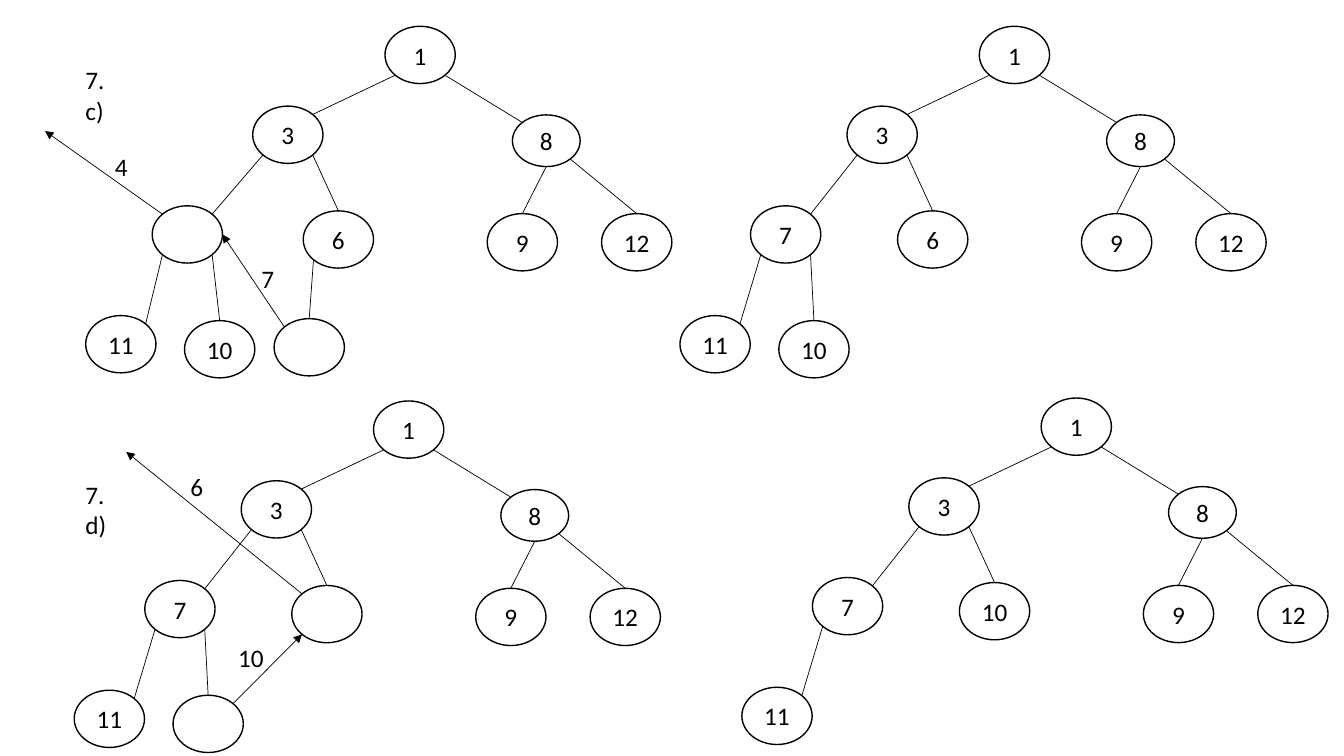
from dataclasses import dataclass

from lxml import etree
from pptx import Presentation
from pptx import util as u
from pptx.dml.color import RGBColor
from pptx.enum import shapes, text
from pptx.oxml.ns import qn


@dataclass(frozen=True)
class Theme:
    """Colours, type and line widths of the slide."""
    ink: RGBColor = RGBColor(0, 0, 0)
    paper: RGBColor = RGBColor(255, 255, 255)
    font: str = "Calibri"
    size: float = 18
    outline: float = 1
    branch: float = 0.5


@dataclass(frozen=True)
class Slot:
    """A place in the heap: offset from the root, size and link to its parent."""
    dx: float
    dy: float
    parent: str = ""
    parent_site: str = ""
    child_site: str = ""
    width: float = 50.2
    height: float = 40.9


THEME = Theme()
DIAGONAL = 0.5 ** 1.5
NEAR, FAR = 0.5 - DIAGONAL, 0.5 + DIAGONAL
SITES = {
    "top": (0.5, 0), "bottom": (0.5, 1), "right": (1, 0.5),
    "top left": (NEAR, NEAR), "top right": (FAR, NEAR),
    "bottom left": (NEAR, FAR), "bottom right": (FAR, FAR),
}
SLOTS = {
    "root": Slot(0, 0),
    "L": Slot(-94.5, 57, "root", "bottom left", "top right"),
    "R": Slot(91, 63.3, "root", "bottom right", "top left", 48.4, 36.9),
    "LL": Slot(-163.4, 128.2, "L", "bottom left", "top right"),
    "LR": Slot(-58.4, 131.8, "L", "bottom right", "top"),
    "RL": Slot(73, 133.8, "R", "bottom", "top"),
    "RR": Slot(154.7, 133.8, "R", "bottom right", "top"),
    "LLL": Slot(-213.8, 206.6, "LL", "bottom left", "top right"),
    "LLR": Slot(-143.2, 210.2, "LL", "bottom right", "top"),
    "LRL": Slot(-79.2, 208.8, "LR", "bottom left", "top"),
}
SHARED = {"root": "1", "L": "3", "R": "8", "RL": "9", "RR": "12", "LLL": "11"}


def style(paragraph):
    """Apply the theme's type to a paragraph."""
    paragraph.font.name = THEME.font
    paragraph.font.size = u.Pt(THEME.size)
    paragraph.font.color.rgb = THEME.ink


def add_node(slide, value, left, top, width, height):
    """Draw a heap node; an empty value leaves it blank."""
    node = slide.shapes.add_shape(shapes.MSO_SHAPE.OVAL, u.Pt(left), u.Pt(top),
                                  u.Pt(width), u.Pt(height))
    node.shadow.inherit = False
    node.fill.solid()
    node.fill.fore_color.rgb = THEME.paper
    node.line.color.rgb = THEME.ink
    node.line.width = u.Pt(THEME.outline)
    if value:
        node.text_frame.text = value
        node.text_frame.vertical_anchor = text.MSO_ANCHOR.MIDDLE
        paragraph = node.text_frame.paragraphs[0]
        paragraph.alignment = text.PP_ALIGN.CENTER
        style(paragraph)


def add_line(slide, start, end, arrow=False):
    """Draw a straight branch, or a move with an arrowhead at its end."""
    line = slide.shapes.add_connector(shapes.MSO_CONNECTOR.STRAIGHT,
                                      *(u.Pt(length) for length in (*start, *end)))
    line.line.color.rgb = THEME.ink
    line.line.width = u.Pt(THEME.branch)
    if arrow:
        etree.SubElement(line.line._get_or_add_ln(), qn("a:tailEnd"), type="triangle")
    etree.SubElement(line._element.spPr, qn("a:effectLst"))


def add_label(slide, words, left, top, width=33, height=29):
    """Place a wrapping text label."""
    label = slide.shapes.add_textbox(u.Pt(left), u.Pt(top), u.Pt(width), u.Pt(height))
    label.text_frame.word_wrap = True
    label.text_frame.text = words
    style(label.text_frame.paragraphs[0])


def add_heap(slide, left, top, values, shifts=None):
    """Draw a heap from its root corner; return a lookup of points on its nodes."""
    shifts = shifts or {}

    def corner(name):
        slot = SLOTS[name]
        return left + slot.dx + shifts.get(name, 0), top + slot.dy

    def point(name, site):
        (x, y), (across, down) = corner(name), SITES[site]
        return x + across * SLOTS[name].width, y + down * SLOTS[name].height

    for name, value in {**SHARED, **values}.items():
        slot = SLOTS[name]
        add_node(slide, value, *corner(name), slot.width, slot.height)
        if slot.parent:
            add_line(slide, point(slot.parent, slot.parent_site),
                     point(name, slot.child_site))
    return point


def main():
    """Build the slide with two heap removals, each before and after."""
    deck = Presentation()
    deck.slide_width, deck.slide_height = u.Pt(960), u.Pt(540)
    slide = deck.slides.add_slide(deck.slide_layouts[6])

    step_c = add_heap(slide, 275, 18.8, {"LL": "", "LR": "6", "LLR": "10", "LRL": ""},
                      {"LL": -2.9})
    add_heap(slide, 699.5, 18.8, {"LL": "7", "LR": "6", "LLR": "10"})
    step_d = add_heap(slide, 266.8, 286.4, {"LL": "7", "LR": "", "LLR": ""})
    add_heap(slide, 743.7, 284.3, {"LL": "7", "LR": "10"})

    moves = (
        (step_c("LL", "top left"), (32.2, 93.6)),
        (step_c("LRL", "top left"), step_c("LL", "right")),
        (step_d("LR", "top left"), (90.2, 322.8)),
        (step_d("LLR", "top right"), step_d("LR", "bottom left")),
    )
    for start, end in moves:
        add_line(slide, start, end, arrow=True)

    for words, left, top in (("4", 75, 104.6), ("7", 179.6, 184.6),
                             ("6", 128.9, 333), ("10", 163, 455)):
        add_label(slide, words, left, top)
    for words, top in (("7. c)", 42.6), ("7. d)", 339)):
        add_label(slide, words, 54, top, 39, 51)

    deck.save("out.pptx")


main()
